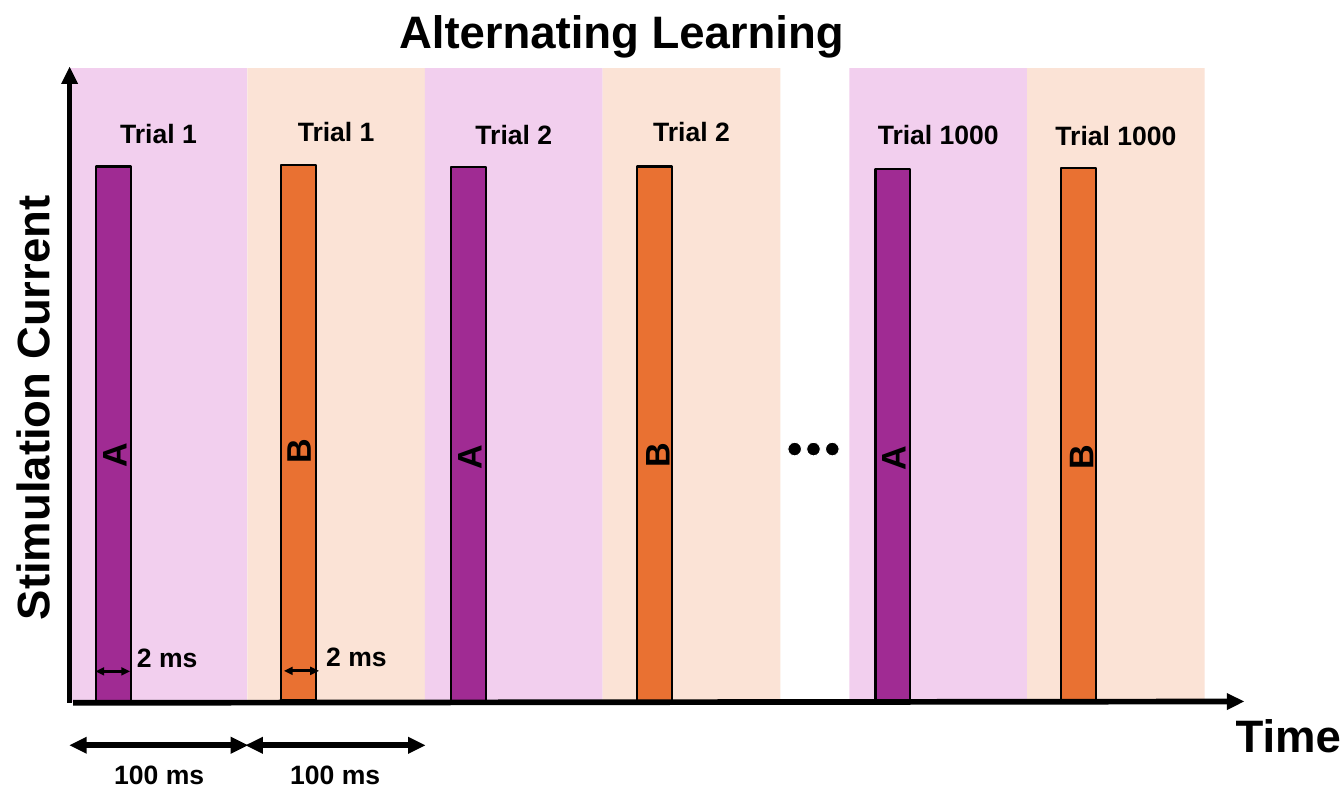
from dataclasses import dataclass

from lxml.etree import SubElement
from pptx import Presentation
from pptx.dml.color import RGBColor
from pptx.enum.shapes import MSO_CONNECTOR, MSO_SHAPE
from pptx.enum.text import MSO_ANCHOR, MSO_AUTO_SIZE, PP_ALIGN
from pptx.oxml.ns import qn
from pptx.shapes.autoshape import Shape
from pptx.slide import Slide
from pptx.text.text import TextFrame
from pptx.util import Cm, Pt


@dataclass(frozen=True)
class Theme:
    font: str = "Arial"
    heading: int = 48
    letter: int = 36
    label: int = 28
    ink: str = "000000"
    paper: str = "FFFFFF"


@dataclass(frozen=True)
class Stimulus:
    letter: str
    panel_color: str
    bar_color: str
    bar_offset: float


@dataclass(frozen=True)
class Trial:
    name: str
    stimulus: Stimulus
    left: float
    name_y: float
    bar_top: float
    letter_x: float
    letter_y: float


@dataclass(frozen=True)
class Label:
    text: str
    center_x: float
    center_y: float
    width: float
    size: int
    rotation: int = 0


@dataclass(frozen=True)
class Arrow:
    start: tuple[float, float]
    end: tuple[float, float]
    weight: float = 6
    double: bool = False


THEME = Theme()
A = Stimulus("A", "F2CFEE", "A02B93", 0.97)
B = Stimulus("B", "FBE3D6", "E97132", 1.27)

PANEL_TOP, PANEL_WIDTH, PANEL_HEIGHT = 2.54, 6.61, 23.6
BAR_WIDTH, BAR_HEIGHT = 1.3, 19.9
ORIGIN_X, ORIGIN_Y = 2.59, 26.16
RESUME_X = 31.6  # first panel after the ellipsis
DOT_LEFT, DOT_TOP, DOT_SIZE, DOT_PITCH = 29.31, 16.46, 0.51, 0.7

TRIALS = [
    Trial("Trial 1", A, ORIGIN_X, 4.94, 6.2, 4.2, 16.95),
    Trial("Trial 1", B, ORIGIN_X + PANEL_WIDTH, 4.86, 6.15, 11.06, 16.8),
    Trial("Trial 2", A, ORIGIN_X + 2 * PANEL_WIDTH, 4.97, 6.22, 17.41, 17),
    Trial("Trial 2", B, ORIGIN_X + 3 * PANEL_WIDTH, 4.88, 6.2, 24.4, 16.95),
    Trial("Trial 1000", A, RESUME_X, 5, 6.3, 33.18, 17.06),
    Trial("Trial 1000", B, RESUME_X + PANEL_WIDTH, 5.01, 6.25, 40.17, 17.03),
]
LABELS = [
    Label("100 ms", 5.92, 28.79, 3.91, THEME.label),
    Label("100 ms", 12.47, 28.79, 3.91, THEME.label),
    Label("2 ms", 6.22, 24.44, 2.79, THEME.label),
    Label("2 ms", 13.26, 24.42, 2.79, THEME.label),
    Label("Time", 47.93, 27.32, 4.47, THEME.heading),
    Label("Stimulation Current", 1.16, 15.18, 16.48, THEME.heading, 270),
]
ARROWS = [
    Arrow((ORIGIN_X, 27.74), (9.22, 27.74), double=True),
    Arrow((9.14, 27.74), (15.82, 27.74), double=True),
    Arrow((3.56, 24.99), (4.83, 24.99), 3, double=True),
    Arrow((10.57, 24.97), (11.86, 24.97), 3, double=True),
    Arrow((ORIGIN_X, ORIGIN_Y), (ORIGIN_X, 2.49)),
    Arrow((2.72, ORIGIN_Y), (46.28, 26.11)),
]


def write(text_frame: TextFrame, text: str, size: int) -> None:
    text_frame.text = text
    text_frame.word_wrap = False
    text_frame.vertical_anchor = MSO_ANCHOR.TOP
    paragraph = text_frame.paragraphs[0]
    paragraph.alignment = PP_ALIGN.CENTER
    for run in paragraph.runs:
        run.font.name = THEME.font
        run.font.size = Pt(size)
        run.font.bold = True
        run.font.color.rgb = RGBColor.from_string(THEME.ink)


def add_title(slide: Slide) -> None:
    title = slide.shapes.title
    title.left, title.top, title.width, title.height = Cm(14.5), Cm(0), Cm(17.25), Cm(2.31)
    write(title.text_frame, "Alternating Learning", THEME.heading)
    title.text_frame.auto_size = MSO_AUTO_SIZE.NONE
    title.text_frame.paragraphs[0].line_spacing = 1.0


def add_label(slide: Slide, label: Label) -> None:
    """Add a text box one line high, placed by its centre."""
    height = label.size * 0.0423 + 0.25
    box = slide.shapes.add_textbox(
        Cm(label.center_x - label.width / 2), Cm(label.center_y - height / 2),
        Cm(label.width), Cm(height))
    box.rotation = label.rotation
    write(box.text_frame, label.text, label.size)
    box.text_frame.auto_size = MSO_AUTO_SIZE.SHAPE_TO_FIT_TEXT


def add_block(slide: Slide, kind: MSO_SHAPE, left: float, top: float,
              width: float, height: float, fill: str) -> Shape:
    shape = slide.shapes.add_shape(kind, Cm(left), Cm(top), Cm(width), Cm(height))
    shape.shadow.inherit = False
    shape.fill.solid()
    shape.fill.fore_color.rgb = RGBColor.from_string(fill)
    shape.line.fill.background()
    return shape


def outline(shape: Shape, color: str, weight: float) -> None:
    shape.line.color.rgb = RGBColor.from_string(color)
    shape.line.width = Pt(weight)


def add_trial(slide: Slide, trial: Trial) -> None:
    stimulus = trial.stimulus
    add_block(slide, MSO_SHAPE.RECTANGLE, trial.left, PANEL_TOP,
              PANEL_WIDTH, PANEL_HEIGHT, stimulus.panel_color)
    bar = add_block(slide, MSO_SHAPE.RECTANGLE, trial.left + stimulus.bar_offset,
                    trial.bar_top, BAR_WIDTH, BAR_HEIGHT, stimulus.bar_color)
    outline(bar, THEME.ink, 2.25)
    name_width = 5.05 if len(trial.name) > 7 else 3.4
    add_label(slide, Label(trial.name, trial.left + PANEL_WIDTH / 2, trial.name_y,
                           name_width, THEME.label))
    add_label(slide, Label(stimulus.letter, trial.letter_x, trial.letter_y,
                           1.45, THEME.letter, 270))


def add_ellipsis(slide: Slide) -> None:
    for index in range(3):
        dot = add_block(slide, MSO_SHAPE.OVAL, DOT_LEFT + index * DOT_PITCH, DOT_TOP,
                        DOT_SIZE, DOT_SIZE, THEME.ink)
        outline(dot, THEME.paper, 1)


def add_arrow(slide: Slide, arrow: Arrow) -> None:
    connector = slide.shapes.add_connector(
        MSO_CONNECTOR.STRAIGHT, *map(Cm, arrow.start), *map(Cm, arrow.end))
    connector.line.color.rgb = RGBColor.from_string(THEME.ink)
    connector.line.width = Pt(arrow.weight)
    line = connector.line._get_or_add_ln()
    for end in ("a:headEnd", "a:tailEnd") if arrow.double else ("a:tailEnd",):
        SubElement(line, qn(end), type="triangle")
    SubElement(connector._element.spPr, qn("a:effectLst"))


def main() -> None:
    presentation = Presentation()
    presentation.slide_width, presentation.slide_height = Cm(50), Cm(30)
    slide = presentation.slides.add_slide(presentation.slide_layouts[5])
    add_title(slide)
    for trial in TRIALS:
        add_trial(slide, trial)
    add_ellipsis(slide)
    for label in LABELS:
        add_label(slide, label)
    for arrow in ARROWS:
        add_arrow(slide, arrow)
    presentation.save("out.pptx")


if __name__ == "__main__":
    main()
